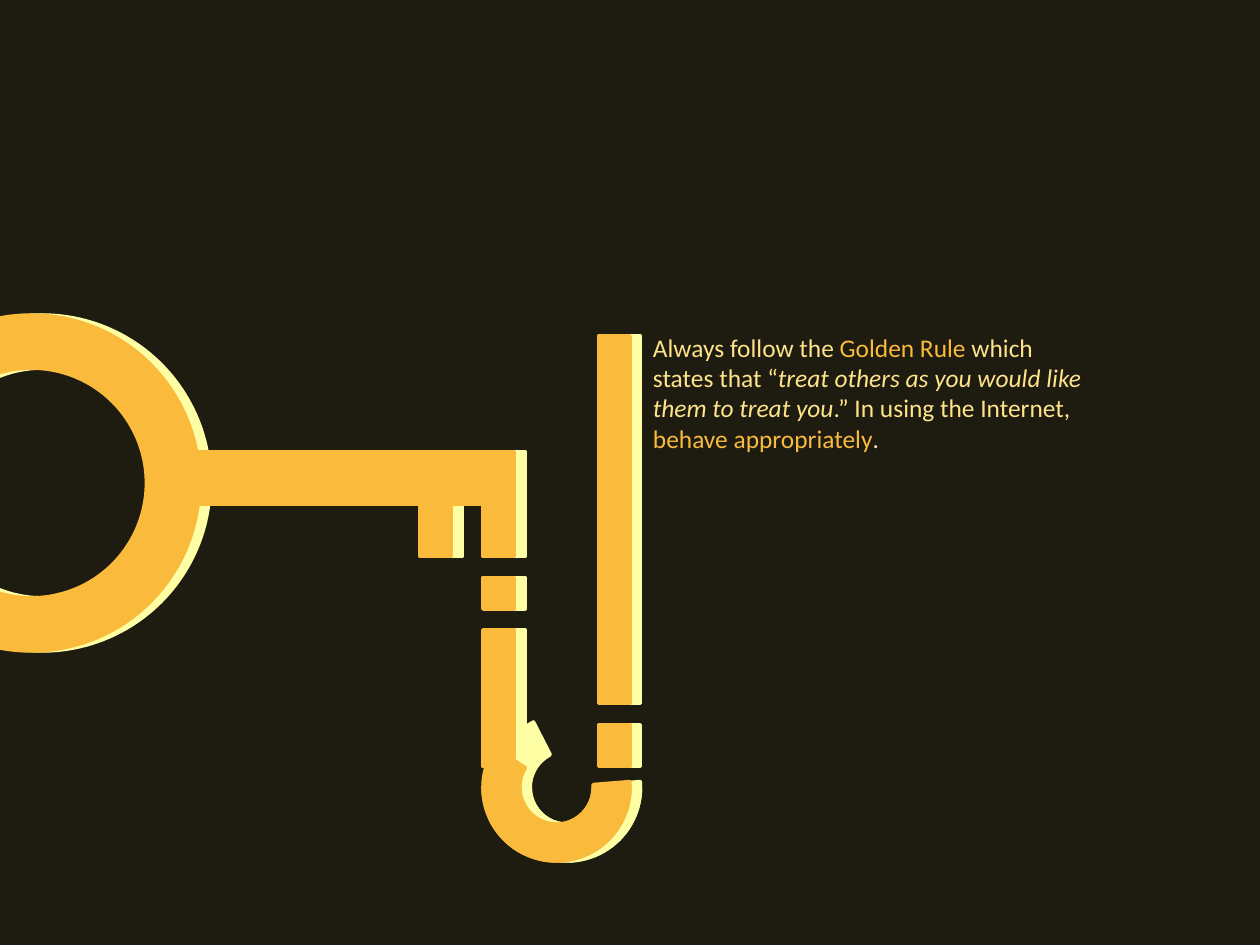
from pptx import Presentation
from pptx.dml.color import RGBColor
from pptx.enum import shapes, text
from pptx.util import Pt

BACKGROUND, GOLD, HIGHLIGHT, CREAM = "1E1C11", "FABB3C", "FEFEA4", "FFE389"
SHAPE = shapes.MSO_SHAPE
BAR = 18  # width of the bits and pipe pieces


def paint(fill, color):
    fill.solid()
    fill.fore_color.rgb = RGBColor.from_string(color)


def add_part(slide, kind, box, color, adjustments=(), flips=()):
    """Add one solid part; adjustments are set in order, flips are flipH and flipV."""
    shape = slide.shapes.add_shape(kind, *(Pt(length) for length in box))
    shape.shadow.inherit = False
    paint(shape.fill, color)
    paint(shape.line.fill, color)
    shape.line.width = Pt(2)
    for index, value in enumerate(adjustments):
        shape.adjustments[index] = value
    for flip in flips:
        shape.element.spPr.xfrm.set(flip, "1")


def add_key(slide, left, top, color, short_arc_start):
    """Draw the key and the dashed pipe hanging from it in one colour."""
    pipe_left, pipe_right = left + 354, left + 420

    add_part(slide, SHAPE.DONUT, (left, top, 192, 192), color, [0.158])
    add_part(slide, SHAPE.RECTANGLE, (left + 180, top + 78, 192, 30), color)

    bars = [
        (left + 318, 90, 48),
        (pipe_left, 90, 48),
        (pipe_left, 150, 18),
        (pipe_left, 180, 36),
        (pipe_left, 210, 48),
        (pipe_right, 234, 24),
        (pipe_right, 12, 210),
    ]
    for x, offset, height in bars:
        add_part(slide, SHAPE.RECTANGLE, (x, top + offset, BAR, height), color)

    bend = (pipe_left, top + 228, 84, 84)
    for start, flips in [(short_arc_start, ["flipV"]), (175.43, ["flipH", "flipV"])]:
        # Angles are stored in 60000ths of a degree, adjustments in 100000ths.
        add_part(slide, SHAPE.BLOCK_ARC, bend, color, [start * 0.6, 0, 0.25], flips)


def add_message(slide, left, top, width, height):
    box = slide.shapes.add_textbox(Pt(left), Pt(top), Pt(width), Pt(height))
    frame = box.text_frame
    frame.word_wrap = True
    frame.auto_size = text.MSO_AUTO_SIZE.SHAPE_TO_FIT_TEXT
    paragraph = frame.paragraphs[0]
    paragraph.space_after = Pt(6)
    pieces = [
        ("Always follow the ", CREAM, False),
        ("Golden Rule ", GOLD, False),
        ("which states that “", CREAM, False),
        ("treat others as you would like them to treat you", CREAM, True),
        (".” In using the Internet, ", CREAM, False),
        ("behave appropriately", GOLD, False),
        (".", CREAM, False),
    ]
    for words, color, italic in pieces:
        run = paragraph.add_run()
        run.text = words
        run.font.name = "Calibri"
        run.font.size = Pt(14.5)
        run.font.italic = italic
        paint(run.font.fill, color)


def main():
    presentation = Presentation()
    presentation.slide_width, presentation.slide_height = Pt(720), Pt(540)
    slide = presentation.slides.add_slide(presentation.slide_layouts[6])
    paint(slide.background.fill, BACKGROUND)
    add_key(slide, -72, 180, HIGHLIGHT, short_arc_start=117.08)
    add_key(slide, -78, 180, GOLD, short_arc_start=147.53)
    add_message(slide, 366, 186, 264, 78)
    presentation.save("out.pptx")


if __name__ == "__main__":
    main()
